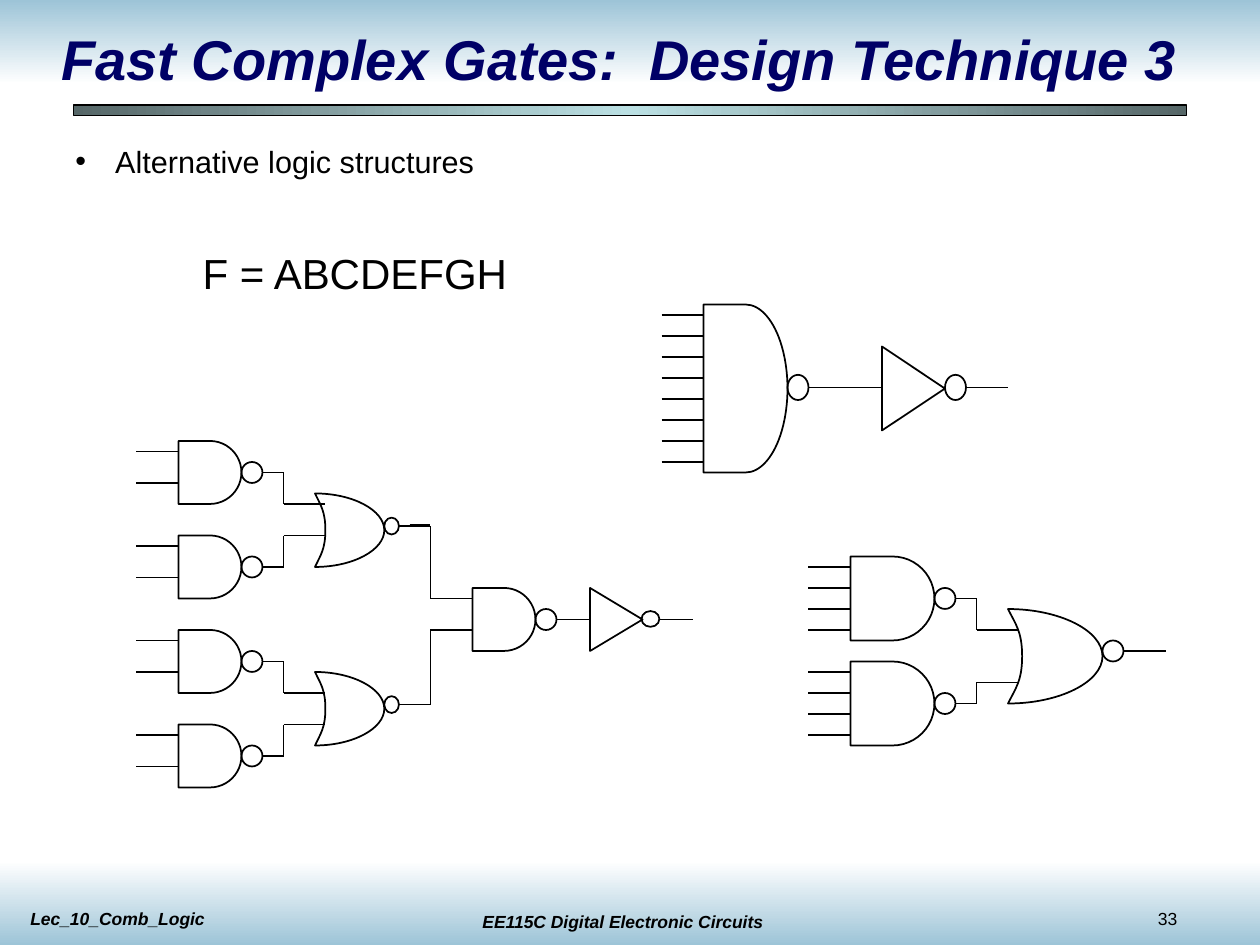
from dataclasses import dataclass
from itertools import pairwise
from typing import NamedTuple

from lxml.etree import SubElement
from pptx import Presentation
from pptx.dml.color import RGBColor
from pptx.enum.shapes import MSO_CONNECTOR, MSO_SHAPE
from pptx.enum.text import MSO_ANCHOR, PP_ALIGN
from pptx.oxml.ns import qn
from pptx.util import Emu, Pt

PX = 914400 // 120  # 120 px to the inch


@dataclass(frozen=True)
class Theme:
    face: str = "Arial"
    ink: str = "000000"
    title: str = "000066"
    sky: str = "9DC4D7"
    white: str = "FFFFFF"
    dark: str = "566768"
    pale: str = "BBE0E3"
    head: float = 32
    sum: float = 24
    body: float = 17.5
    foot: float = 10
    wire: float = 1
    rim: float = 0.75


class Box(NamedTuple):
    x: int
    y: int
    w: int
    h: int


class Label(NamedTuple):
    text: str
    box: Box
    size: float
    bold: bool = False
    align: PP_ALIGN = PP_ALIGN.LEFT
    anchor: MSO_ANCHOR = MSO_ANCHOR.TOP
    bullet: bool = False


class Gate(NamedTuple):
    box: Box
    dot: Box
    leads: range


class Half(NamedTuple):
    """One NOR with its two NANDs, wired to a lead of the last NAND."""
    top: int
    nor: int
    end: int


THEME = Theme()
TITLE = Label("Fast Complex Gates:  Design Technique 3", Box(20, 20, 1140, 70),
              THEME.head, True, PP_ALIGN.CENTER, MSO_ANCHOR.MIDDLE)
LABELS = [
    Label("EE115C Digital Electronic Circuits", Box(423, 862, 340, 32),
          THEME.foot, True, PP_ALIGN.CENTER),
    Label("33", Box(1091, 859, 100, 32), THEME.foot),
    Label("Lec_10_Comb_Logic", Box(17, 859, 340, 32), THEME.foot, True),
    Label("Alternative logic structures", Box(60, 130, 1020, 49),
          THEME.body, bullet=True),
    Label("F = ABCDEFGH", Box(180, 230, 316, 60), THEME.sum,
          align=PP_ALIGN.CENTER, anchor=MSO_ANCHOR.MIDDLE),
]
HALVES = [Half(420, 470, 570), Half(600, 640, 600)]
# OR outline in a unit square from (0, 0): two handles and an end per curve.
OR_CURVES = [
    ((0.08, 0.16), (0.15, 0.24), (0.15, 0.5)),
    ((0.15, 0.76), (0.08, 0.84), (0, 1)),
    ((0.55, 1), (1, 0.77), (1, 0.5)),
    ((1, 0.23), (0.55, 0), (0, 0)),
]


def emu(box: tuple[int, ...]) -> list[Emu]:
    return [Emu(n * PX) for n in box]


def rgb(code: str) -> RGBColor:
    return RGBColor.from_string(code)


def ink(item, width: float = THEME.wire) -> None:
    item.line.color.rgb = rgb(THEME.ink)
    item.line.width = Pt(width)


def hollow(shape) -> None:
    shape.shadow.inherit = False
    shape.fill.background()
    ink(shape)


def band(shapes, box: Box, codes: list[str], angle: int):
    """Draw a bar with evenly spaced gradient colours."""
    shape = shapes.add_shape(MSO_SHAPE.RECTANGLE, *emu(box))
    shape.shadow.inherit = False
    shape.fill.gradient()
    shape.fill.gradient_angle = angle
    shape.line.fill.background()
    stops = next(shape.element.iter(qn("a:gsLst")))
    for stop in list(stops):
        stops.remove(stop)
    for i, code in enumerate(codes):
        place = 100000 * i // (len(codes) - 1)
        stop = SubElement(stops, qn("a:gs"), pos=str(place))
        SubElement(stop, qn("a:srgbClr"), val=code)
    return shape


def write(shape, label: Label, color: str = THEME.ink) -> None:
    shape.left, shape.top, shape.width, shape.height = emu(label.box)
    frame = shape.text_frame
    frame.text = label.text
    frame.word_wrap = True
    frame.vertical_anchor = label.anchor
    par = frame.paragraphs[0]
    par.alignment = label.align
    if label.bullet:
        props = par._p.get_or_add_pPr()
        props.set("marL", str(38 * PX))
        props.set("indent", str(-38 * PX))
        SubElement(props, qn("a:buFont"), typeface=THEME.face)
        SubElement(props, qn("a:buChar"), char="•")
    form = {"name": THEME.face, "size": Pt(label.size),
            "bold": label.bold, "italic": label.bold}
    font = par.runs[0].font
    for key, value in form.items():
        setattr(font, key, value)
    font.color.rgb = rgb(color)


def wire(shapes, *points: tuple[int, int]) -> None:
    for start, end in pairwise(points):
        line = shapes.add_connector(MSO_CONNECTOR.STRAIGHT, *emu(start + end))
        ink(line)
        SubElement(line.element.spPr, qn("a:effectLst"))


def part(shapes, kind: MSO_SHAPE, box: Box, turn: int = 0) -> None:
    shape = shapes.add_shape(kind, *emu(box))
    shape.rotation = turn
    hollow(shape)


def nand(shapes, gate: Gate) -> None:
    part(shapes, MSO_SHAPE.FLOWCHART_DELAY, gate.box)
    part(shapes, MSO_SHAPE.OVAL, gate.dot)
    for y in gate.leads:
        wire(shapes, (gate.box.x - 40, y), (gate.box.x, y))


def nor(shapes, box: Box, dot: Box) -> None:
    x, y, w, h = emu(box)
    pen = shapes.build_freeform(x, y)
    ends = [(x + round(u * w), y + round(v * h)) for *_, (u, v) in OR_CURVES]
    pen.add_line_segments(ends, close=True)
    shape = pen.convert_to_shape()
    sides = list(shape.element.iter(qn("a:lnTo")))
    for side, curve in zip(sides, OR_CURVES):
        bend = SubElement(side.getparent(), qn("a:cubicBezTo"))
        for u, v in curve:
            SubElement(bend, qn("a:pt"),
                       x=str(round(u * w)), y=str(round(v * h)))
        side.getparent().replace(side, bend)
    hollow(shape)
    part(shapes, MSO_SHAPE.OVAL, dot)


def invert(shapes, box: Box, dot: Box) -> None:
    """Draw an inverter; box is its extent once it points right."""
    x, y, w, h = box
    shift = (h - w) // 2
    part(shapes, MSO_SHAPE.FLOWCHART_MERGE,
         Box(x - shift, y + shift, h, w), 270)
    part(shapes, MSO_SHAPE.OVAL, dot)


def step(shapes, x: int, y1: int, y2: int) -> None:
    """Wire a NAND output to a NOR input."""
    wire(shapes, (x, y1), (x + 20, y1), (x + 20, y2), (x + 60, y2))


def wide(shapes) -> None:
    nand(shapes, Gate(Box(670, 290, 80, 160), Box(750, 357, 20, 24),
                      range(300, 441, 20)))
    invert(shapes, Box(840, 330, 60, 80), Box(900, 357, 20, 24))
    wire(shapes, (770, 369), (840, 369))
    wire(shapes, (920, 369), (960, 369))


def pair(shapes) -> None:
    for y, end in ((530, 600), (630, 650)):
        nand(shapes, Gate(Box(810, y, 80, 80), Box(890, y + 30, 20, 20),
                          range(y + 10, y + 71, 20)))
        step(shapes, 910, y + 40, end)
    nor(shapes, Box(960, 580, 90, 90), Box(1050, 610, 20, 20))
    wire(shapes, (1070, 620), (1110, 620))


def small(shapes, x: int, y: int) -> None:
    nand(shapes, Gate(Box(x, y, 60, 60), Box(x + 60, y + 20, 20, 20),
                      range(y + 10, y + 41, 30)))


def tree(shapes) -> None:
    for half in HALVES:
        for y, tip in ((0, 60), (90, 90)):
            small(shapes, 170, half.top + y)
            step(shapes, 250, half.top + y + 30, half.top + tip)
        nor(shapes, Box(300, half.nor, 66, 70),
            Box(366, half.nor + 23, 14, 16))
        out = half.nor + 31
        wire(shapes, (380, out), (410, out), (410, half.end))
    wire(shapes, (390, 500), (410, 500))
    small(shapes, 450, 560)
    invert(shapes, Box(562, 560, 50, 60), Box(611, 582, 17, 15))
    wire(shapes, (530, 590), (562, 590))
    wire(shapes, (628, 590), (660, 590))


def main() -> None:
    deck = Presentation()
    deck.slide_width, deck.slide_height = emu((1200, 900))
    slide = deck.slides.add_slide(deck.slide_layouts[5])
    shapes = slide.shapes
    band(shapes, Box(0, 0, 1200, 80), [THEME.sky, THEME.white], 270)
    band(shapes, Box(0, 820, 1200, 80), [THEME.white, THEME.sky], 270)
    rule = band(shapes, Box(70, 100, 1060, 10),
                [THEME.dark, THEME.pale, THEME.dark], 0)
    ink(rule, THEME.rim)
    title = shapes.title
    rule.element.addnext(title.element)
    write(title, TITLE, THEME.title)
    for label in LABELS:
        write(shapes.add_textbox(*emu(label.box)), label)
    for draw in (wide, pair, tree):
        draw(shapes.add_group_shape().shapes)
    deck.save("out.pptx")


if __name__ == "__main__":
    main()
